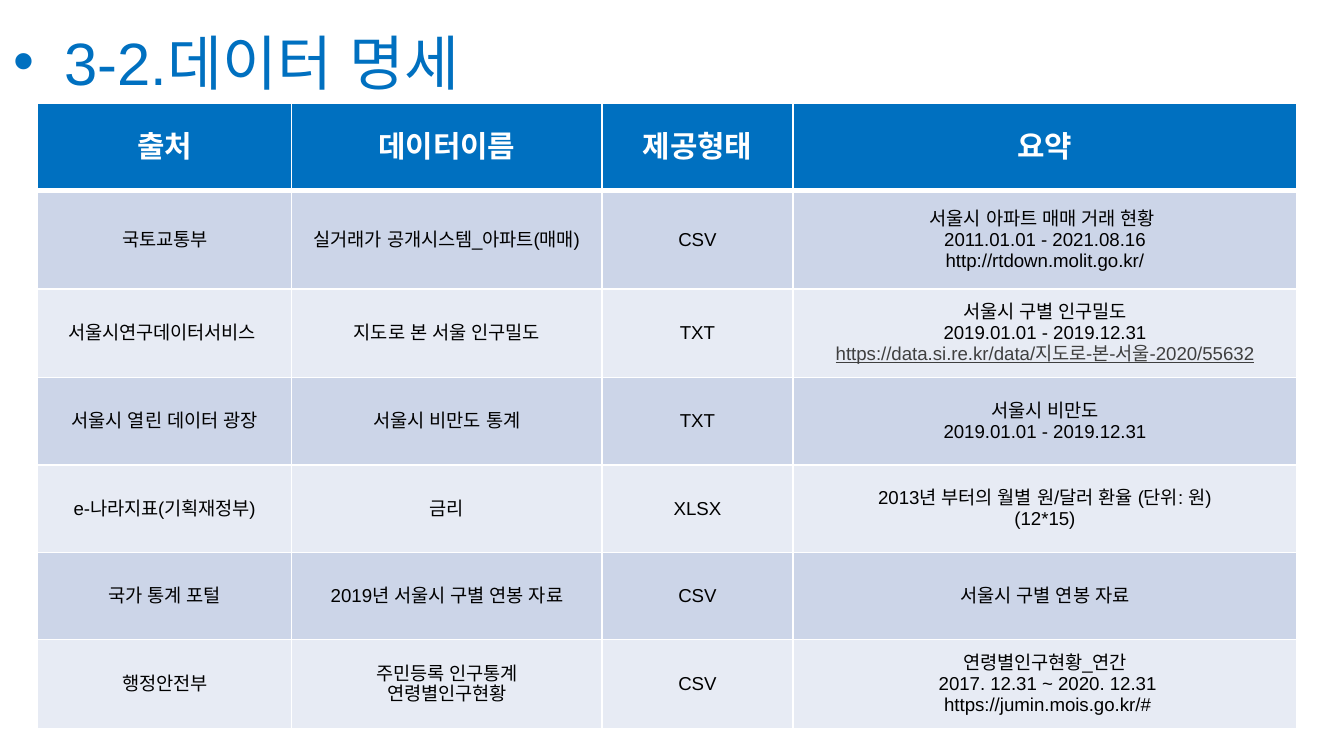
from lxml import etree
from pptx import Presentation
from pptx.dml.color import RGBColor
from pptx.enum.text import MSO_ANCHOR, MSO_AUTO_SIZE, PP_ALIGN
from pptx.oxml.ns import qn
from pptx.util import Inches, Pt

MIDDLE = MSO_ANCHOR.MIDDLE
CENTER, LEFT = PP_ALIGN.CENTER, PP_ALIGN.LEFT
NO_AUTOFIT = MSO_AUTO_SIZE.NONE

FONT = "Arial"
BLUE = RGBColor(0x00, 0x70, 0xC0)
WHITE = RGBColor(0xFF, 0xFF, 0xFF)
BLACK = RGBColor(0x00, 0x00, 0x00)
LINK_GRAY = RGBColor(0x3F, 0x3F, 0x3F)
BANDS = (RGBColor(0xCC, 0xD5, 0xE8), RGBColor(0xE7, 0xEB, 0xF4))

TITLE = "3-2.데이터 명세"
HEADER = ("출처", "데이터이름", "제공형태", "요약")
LINK = "https://data.si.re.kr/data/지도로-본-서울-2020/55632"
# Each line of a cell is its own paragraph.
SOURCES = [
    ("국토교통부", "실거래가 공개시스템_아파트(매매)", "CSV",
     "서울시 아파트 매매 거래 현황 \n2011.01.01 - 2021.08.16\nhttp://rtdown.molit.go.kr/"),
    ("서울시연구데이터서비스 ", "지도로 본 서울 인구밀도", "TXT",
     "서울시 구별 인구밀도\n2019.01.01 - 2019.12.31\n" + LINK),
    ("서울시 열린 데이터 광장", "서울시 비만도 통계", "TXT",
     "서울시 비만도\n2019.01.01 - 2019.12.31"),
    ("e-나라지표(기획재정부)", "금리", "XLSX",
     "2013년 부터의 월별 원/달러 환율 (단위: 원)\n(12*15)"),
    ("국가 통계 포털", "2019년 서울시 구별 연봉 자료", "CSV", "서울시 구별 연봉 자료"),
    ("행정안전부", "주민등록 인구통계\n연령별인구현황", "CSV",
     "연령별인구현황_연간\n 2017. 12.31 ~ 2020. 12.31\n https://jumin.mois.go.kr/#"),
]
COLUMN_WIDTHS = (1.89, 2.31, 1.42, 3.75)
ROW_HEIGHTS = (0.65, 0.73, 0.66, 0.65, 0.65, 0.65, 0.66)
BORDER_TAGS = ("a:lnL", "a:lnR", "a:lnT", "a:lnB")


def add_run(paragraph, text, size, color, bold=False):
    run = paragraph.add_run()
    run.text = text
    run.font.name = FONT
    run.font.size = Pt(size)
    run.font.bold = bold
    run.font.color.rgb = color
    etree.SubElement(run._r.get_or_add_rPr(), qn("a:ea"), typeface=FONT)
    return run


def add_title(slide):
    title = slide.shapes.title
    title.left, title.top = Inches(0), Inches(0.14)
    title.width, title.height = Inches(10), Inches(0.63)
    frame = title.text_frame
    frame.auto_size = NO_AUTOFIT
    frame.vertical_anchor = MIDDLE
    paragraph = frame.paragraphs[0]
    paragraph.alignment = LEFT
    properties = paragraph._p.get_or_add_pPr()
    properties.set("marL", str(Inches(0.38)))
    properties.set("indent", str(-Inches(0.38)))
    etree.SubElement(properties, qn("a:buFont"), typeface=FONT)
    etree.SubElement(properties, qn("a:buChar"), char="•")
    add_run(paragraph, TITLE, 32, BLUE)


def set_borders(cell, bottom_width):
    """Draw white 1 pt borders, with the bottom one in the given points."""
    properties = cell._tc.get_or_add_tcPr()
    for position, tag in enumerate(BORDER_TAGS):
        width = bottom_width if tag == "a:lnB" else 1
        line = etree.Element(qn(tag), w=str(Pt(width)))
        fill = etree.SubElement(line, qn("a:solidFill"))
        etree.SubElement(fill, qn("a:srgbClr"), val=str(WHITE))
        properties.insert(position, line)


def fill_cell(cell, text, fill, size, color, bold):
    cell.fill.solid()
    cell.fill.fore_color.rgb = fill
    cell.vertical_anchor = MIDDLE
    frame = cell.text_frame
    for index, line in enumerate(text.split("\n")):
        paragraph = frame.add_paragraph() if index else frame.paragraphs[0]
        paragraph.alignment = CENTER
        is_link = line == LINK
        run = add_run(paragraph, line, size, LINK_GRAY if is_link else color, bold)
        if is_link:
            run.font.underline = True


def add_source_table(slide):
    rows = [HEADER] + SOURCES
    table = slide.shapes.add_table(
        len(rows), len(HEADER), Inches(0.28), Inches(0.77),
        Inches(sum(COLUMN_WIDTHS)), Inches(sum(ROW_HEIGHTS))).table
    for column, width in zip(table.columns, COLUMN_WIDTHS):
        column.width = Inches(width)
    for row, height in zip(table.rows, ROW_HEIGHTS):
        row.height = Inches(height)
    for row_index, texts in enumerate(rows):
        if row_index == 0:
            style = (BLUE, 16, WHITE, True)
        else:
            style = (BANDS[(row_index - 1) % 2], 10, BLACK, False)
        for column_index, text in enumerate(texts):
            cell = table.cell(row_index, column_index)
            fill_cell(cell, text, *style)
            if row_index == 0:
                set_borders(cell, bottom_width=3)


presentation = Presentation()
presentation.slide_width = Inches(10)
presentation.slide_height = presentation.slide_width * 9 // 16
slide = presentation.slides.add_slide(presentation.slide_layouts[5])
add_title(slide)
add_source_table(slide)
presentation.save("out.pptx")
